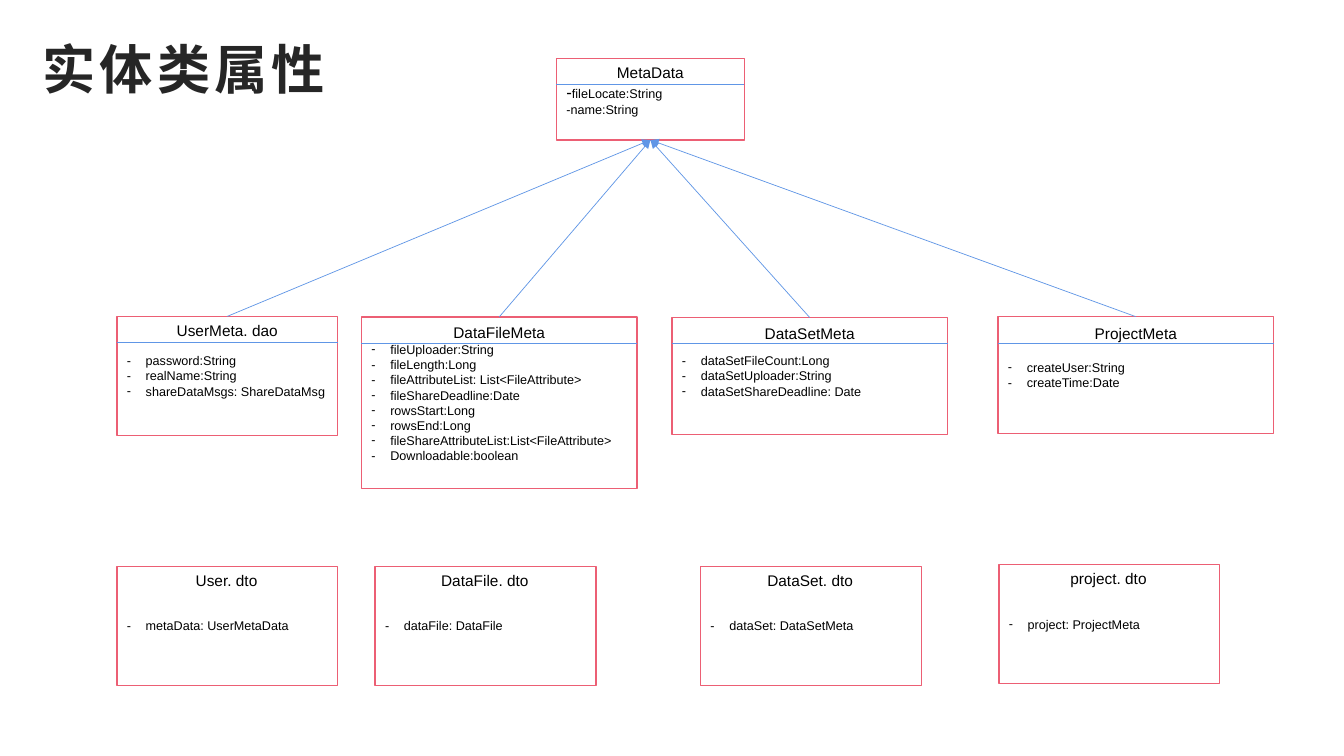
from lxml import etree
from pptx import Presentation
from pptx.dml.color import RGBColor
from pptx.enum import shapes as sh, text as tx
from pptx.oxml import ns
from pptx.util import Pt

HUES = {"paper": "FFFFFF", "edge": "EC5F74", "rule": "6096E6",
        "ink": "000000", "title": "262626"}
FONT = "Arial"
HEAD = "Noto Sans CJK SC"


def hue(name):
    return RGBColor.from_string(HUES[name])


def add(parent, tag, **attrs):
    return etree.SubElement(parent, ns.qn(tag), attrs)


class Diagram:
    """Holds the current slide and the style of its class boxes."""

    def __init__(self, slide):
        self.slide = slide
        self.items = slide.shapes

    def style(self, run, size, font=FONT, color="ink", bold=False):
        run.font.size = Pt(size)
        run.font.name = font
        run.font.bold = bold
        run.font.color.rgb = hue(color)

    def title(self, words):
        head = self.items.title
        head.left, head.top, head.width, head.height = map(Pt, (23, 13.7, 913, 69.8))
        frame = head.text_frame
        frame.text = words
        frame.auto_size = tx.MSO_AUTO_SIZE.NONE
        frame.vertical_anchor = tx.MSO_ANCHOR.MIDDLE
        line = frame.paragraphs[0]
        line.alignment = tx.PP_ALIGN.LEFT
        run = line.runs[0]
        self.style(run, 38, HEAD, "title", True)
        props = run.font._element
        props.set("spc", "300")
        add(props, "a:ea", typeface=HEAD)

    def box(self, left, top, width, height, rows, dashed=True):
        """Draw a class box; its rows get dash bullets if dashed."""
        rect = self.items.add_shape(sh.MSO_SHAPE.RECTANGLE,
                                    *map(Pt, (left, top, width, height)))
        rect.shadow.inherit = False
        rect.fill.solid()
        rect.fill.fore_color.rgb = hue("paper")
        rect.line.color.rgb = hue("edge")
        rect.line.width = Pt(1)
        frame = rect.text_frame
        frame.word_wrap = True
        frame.vertical_anchor = tx.MSO_ANCHOR.MIDDLE
        frame.text = "\n".join(rows)
        for line in frame.paragraphs:
            line.alignment = tx.PP_ALIGN.LEFT
            self.style(line.runs[0], 9)
            if dashed:
                self.dash(line)
        return rect

    def dash(self, line):
        props = line._p.get_or_add_pPr()
        props.set("marL", str(Pt(13.5)))
        props.set("indent", str(Pt(-13.5)))
        add(props, "a:buFont", typeface=FONT)
        add(props, "a:buChar", char="-")

    def label(self, left, top, width, words):
        area = self.items.add_textbox(*map(Pt, (left, top, width, 20.6)))
        frame = area.text_frame
        frame.word_wrap = True
        frame.auto_size = tx.MSO_AUTO_SIZE.SHAPE_TO_FIT_TEXT
        frame.text = words
        frame.paragraphs[0].alignment = tx.PP_ALIGN.CENTER
        self.style(frame.paragraphs[0].runs[0], 11)

    def line(self, *ends):
        link = self.items.add_connector(sh.MSO_CONNECTOR.STRAIGHT, *map(Pt, ends))
        link.line.color.rgb = hue("rule")
        link.line.width = Pt(0.5)
        add(link._element.spPr, "a:effectLst")
        return link

    def rule(self, left, top, width):
        self.line(left, top, left + width, top)

    def arrow(self, child, parent):
        link = self.line(0, 0, 0, 0)
        link.begin_connect(child, 0)
        link.end_connect(parent, 2)
        add(link.line._get_or_add_ln(), "a:tailEnd", type="triangle")


# name, left, top, width, height, label offset, rule offset, fields
METAS = [
    ("UserMeta. dao", 83.5, 226, 157.7, 85, 0, 18.9,
     ["password:String", "realName:String", "shareDataMsgs: ShareDataMsg"]),
    ("DataFileMeta", 258.2, 226.4, 196.8, 122.4, 1.2, 18.8,
     ["fileUploader:String", "fileLength:Long",
      "fileAttributeList: List<FileAttribute>", "fileShareDeadline:Date",
      "rowsStart:Long", "rowsEnd:Long",
      "fileShareAttributeList:List<FileAttribute>", "Downloadable:boolean"]),
    ("DataSetMeta", 480, 226.8, 196.8, 83.5, 1.4, 18.7,
     ["dataSetFileCount:Long", "dataSetUploader:String",
      "dataSetShareDeadline: Date"]),
    ("ProjectMeta", 712.9, 226.2, 196.8, 83.5, 2, 19.3,
     ["createUser:String", "createTime:Date"]),
]

# name, left, top, field
DTOS = [
    ("User. dto", 83.5, 404.6, "metaData: UserMetaData"),
    ("DataFile. dto", 268, 404.6, "dataFile: DataFile"),
    ("DataSet. dto", 500.4, 404.6, "dataSet: DataSetMeta"),
    ("project. dto", 713.5, 403.3, "project: ProjectMeta"),
]


def main():
    deck = Presentation()
    deck.slide_width, deck.slide_height = Pt(960), Pt(540)
    art = Diagram(deck.slides.add_slide(deck.slide_layouts[5]))
    art.title("实体类属性")

    left, top, width = 397.5, 41.6, 134.2
    root = art.box(left, top, width, 58.4,
                   ["-fileLocate:String", "-name:String"], dashed=False)
    first = root.text_frame.paragraphs[0]
    first.runs[0].text = "-"
    first.runs[0].font.size = Pt(12)
    rest = first.add_run()
    rest.text = "fileLocate:String"
    art.style(rest, 9)
    art.rule(left, top + 18.7, width)
    art.label(left, top, width, "MetaData")

    for name, left, top, width, height, drop, gap, rows in METAS:
        child = art.box(left, top, width, height, rows)
        art.rule(left, top + gap, width)
        art.label(left, top + drop, width, name)
        art.arrow(child, root)

    for name, left, top, field in DTOS:
        art.box(left, top, 157.7, 85, [field])
        art.label(left - 0.5, top, 157.7, name)

    deck.save("out.pptx")


if __name__ == "__main__":
    main()
